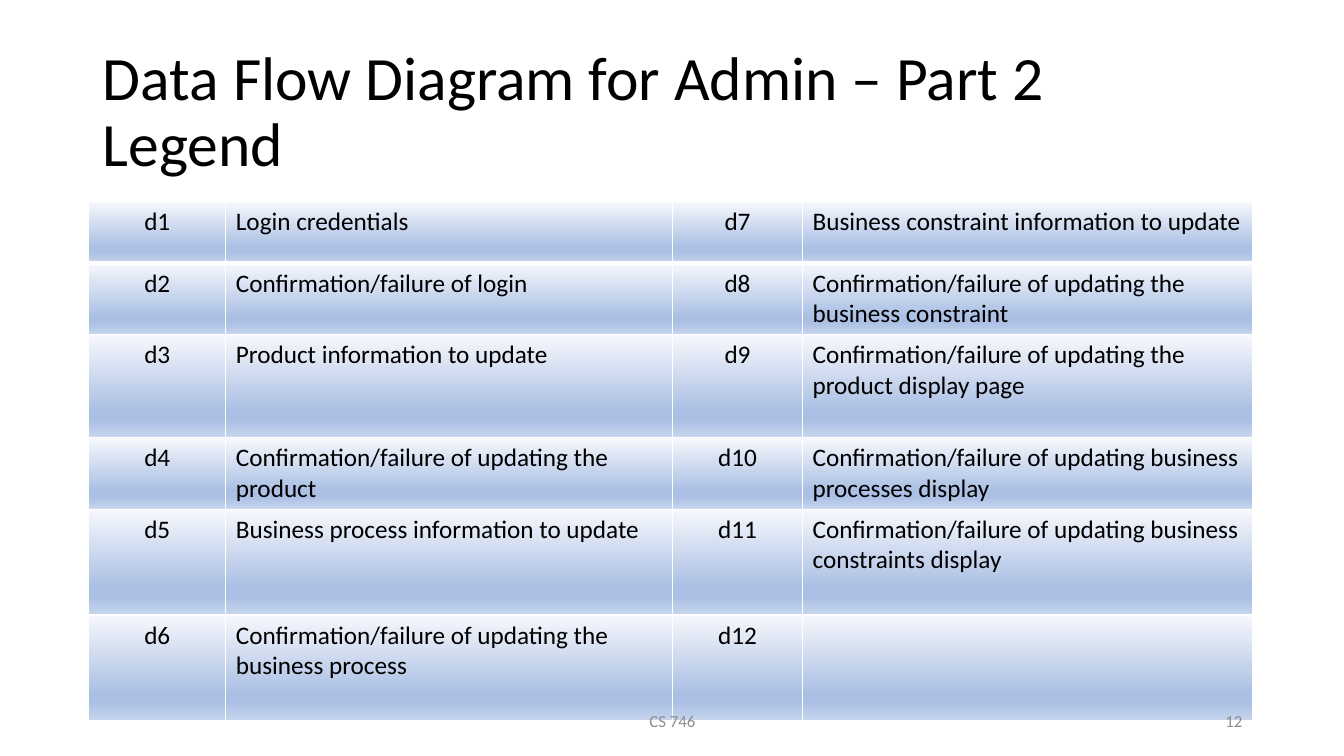
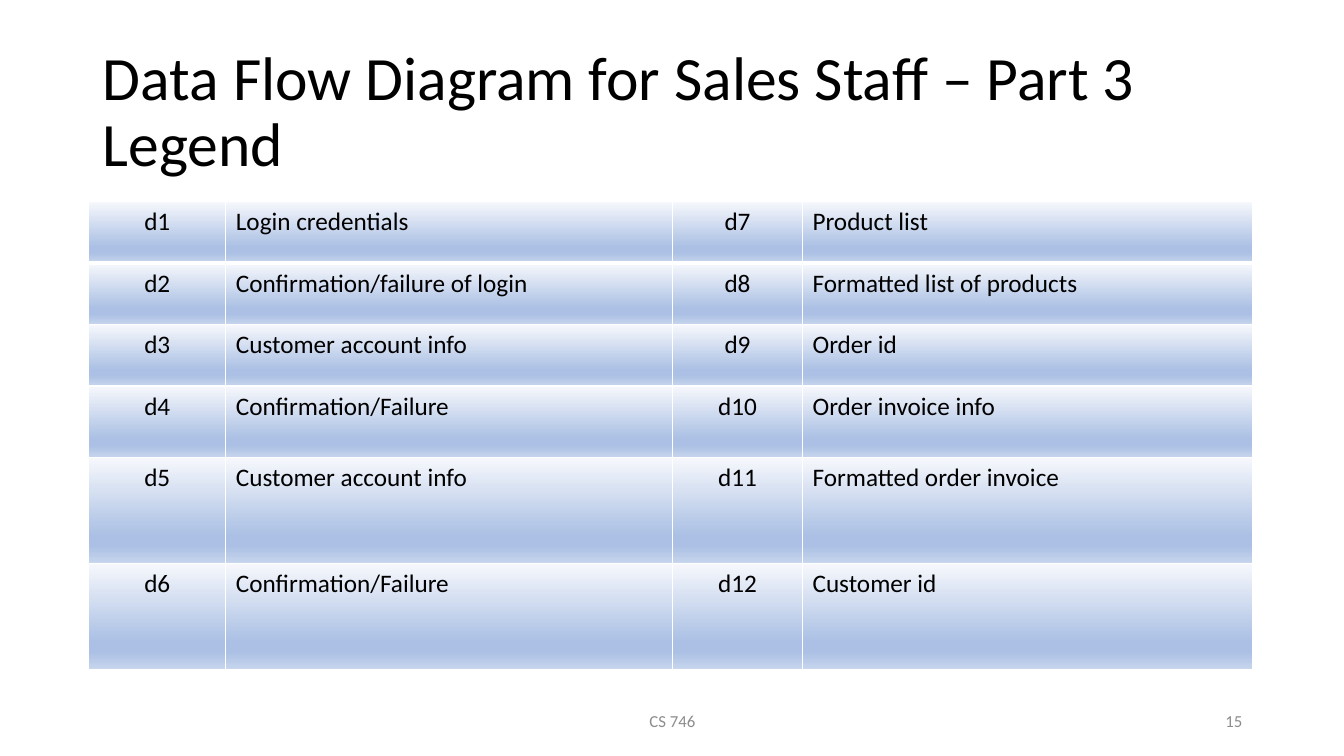
import pptx
import pptx.dml.color
import pptx.enum.text
import pptx.oxml
import pptx.oxml.ns
import pptx.util

Inches = pptx.util.Inches
ALIGN = pptx.enum.text.PP_ALIGN
FONT = "Calibri"
BLACK, GREY, WHITE = "000000", "8C8C8C", "FFFFFF"
GRADIENT = [(0, "F6F8FC"), (74, "ABC0E4"), (83, "ABC0E4"), (100, "C7D5ED")]
TITLE_BOX = (0.92, 0.4, 11.5, 1.45)
TABLE_CORNER = (0.88, 2)
FOOTER_BOX = (4.42, 6.95, 4.5, 0.4)
NUMBER_BOX = (9.42, 6.95, 3, 0.4)
COLUMN_WIDTHS = [1.36, 4.43, 1.29, 4.46]
FOOTER = "CS 746"

SLIDES = [
    {
        "title": "Data Flow Diagram for Admin – Part 2\vLegend",
        "number": "12",
        "heights": [0.61, 0.71, 1.02, 0.71, 1.05, 1.05],
        "flows": [
            "Login credentials",
            "Confirmation/failure of login",
            "Product information to update",
            "Confirmation/failure of updating the product",
            "Business process information to update",
            "Confirmation/failure of updating the business process",
            "Business constraint information to update",
            "Confirmation/failure of updating the business constraint",
            "Confirmation/failure of updating the product display page",
            "Confirmation/failure of updating business processes display",
            "Confirmation/failure of updating business constraints display",
            "",
        ],
    },
    {
        "title": "Data Flow Diagram for Sales Staff – Part 3\vLegend",
        "number": "15",
        "heights": [0.61, 0.61, 0.61, 0.71, 1.05, 1.05],
        "flows": [
            "Login credentials",
            "Confirmation/failure of login",
            "Customer account info",
            "Confirmation/Failure",
            "Customer account info",
            "Confirmation/Failure",
            "Product list",
            "Formatted list of products",
            "Order id",
            "Order invoice info",
            "Formatted order invoice",
            "Customer id",
        ],
    },
]


def color(value):
    """Return the colour for a hex string."""
    return pptx.dml.color.RGBColor.from_string(value)


def set_attributes(target, values):
    """Set each attribute of the target from a dict."""
    for name, value in values.items():
        setattr(target, name, value)


def format_text(text_frame, size, font_color, alignment, line_spacing=None):
    """Give every paragraph the same font, alignment and spacing."""
    for paragraph in text_frame.paragraphs:
        set_attributes(paragraph, {"alignment": alignment, "line_spacing": line_spacing})
        set_attributes(paragraph.font, {"name": FONT, "size": pptx.util.Pt(size)})
        paragraph.font.color.rgb = color(font_color)
        for run in paragraph.runs:
            set_attributes(run.font, {"name": FONT, "size": pptx.util.Pt(size)})
            run.font.color.rgb = color(font_color)


def fill_text(shape, text, size, font_color, alignment, line_spacing=None):
    """Write formatted, vertically centred text into a shape."""
    text_frame = shape.text_frame
    text_frame.text = text
    set_attributes(text_frame, {
        "word_wrap": True,
        "auto_size": pptx.enum.text.MSO_AUTO_SIZE.NONE,
        "vertical_anchor": pptx.enum.text.MSO_ANCHOR.MIDDLE,
    })
    format_text(text_frame, size, font_color, alignment, line_spacing)


def add_title(slide, text, box):
    """Place and fill the title placeholder."""
    title = slide.shapes.title
    names = ("left", "top", "width", "height")
    set_attributes(title, dict(zip(names, map(Inches, box))))
    fill_text(title, text, 44, BLACK, ALIGN.LEFT, 0.9)


def add_footer(slide, text, box, alignment):
    """Add one small grey footer text."""
    shape = slide.shapes.add_textbox(*map(Inches, box))
    fill_text(shape, text, 12, GREY, alignment)


def style_cell(cell, bottom_width):
    """Give a cell white borders and the shared gradient."""
    namespace = pptx.oxml.ns.nsdecls("a")
    properties = cell._tc.get_or_add_tcPr()
    for side, width in (("L", 1), ("R", 1), ("T", 1), ("B", bottom_width)):
        properties.append(pptx.oxml.parse_xml(
            f'<a:ln{side} {namespace} w="{pptx.util.Pt(width)}"><a:solidFill>'
            f'<a:srgbClr val="{WHITE}"/></a:solidFill></a:ln{side}>'))
    stops = "".join(
        f'<a:gs pos="{position * 1000}"><a:srgbClr val="{value}"/></a:gs>'
        for position, value in GRADIENT)
    properties.append(pptx.oxml.parse_xml(
        f'<a:gradFill {namespace} rotWithShape="1"><a:gsLst>{stops}</a:gsLst>'
        '<a:lin ang="5400000" scaled="0"/></a:gradFill>'))


def add_legend(slide, flows, heights, corner):
    """Add the legend table, numbered down its two column pairs."""
    row_count = len(heights)
    size = (sum(COLUMN_WIDTHS), sum(heights))
    table = slide.shapes.add_table(
        row_count, len(COLUMN_WIDTHS), *map(Inches, corner + size)).table
    set_attributes(table, {"first_row": False, "horz_banding": False})
    for column, width in zip(table.columns, COLUMN_WIDTHS):
        column.width = Inches(width)
    for row, height in zip(table.rows, heights):
        row.height = Inches(height)
    for index, flow in enumerate(flows):
        pair, row = divmod(index, row_count)
        entries = ((f"d{index + 1}", ALIGN.CENTER), (flow, ALIGN.LEFT))
        for offset, (text, alignment) in enumerate(entries):
            cell = table.cell(row, 2 * pair + offset)
            cell.text = text
            format_text(cell.text_frame, 18, BLACK, alignment)
            style_cell(cell, 3 if row == 0 else 1)


def add_legend_slide(presentation, content):
    """Build one legend slide."""
    slide = presentation.slides.add_slide(presentation.slide_layouts[5])
    add_title(slide, content["title"], TITLE_BOX)
    add_legend(slide, content["flows"], content["heights"], TABLE_CORNER)
    add_footer(slide, FOOTER, FOOTER_BOX, ALIGN.CENTER)
    add_footer(slide, content["number"], NUMBER_BOX, ALIGN.RIGHT)


def main():
    """Build and save the presentation."""
    presentation = pptx.Presentation()
    set_attributes(presentation, {
        "slide_width": Inches(13.33), "slide_height": Inches(7.5)})
    for content in SLIDES:
        add_legend_slide(presentation, content)
    presentation.save("out.pptx")


if __name__ == "__main__":
    main()
